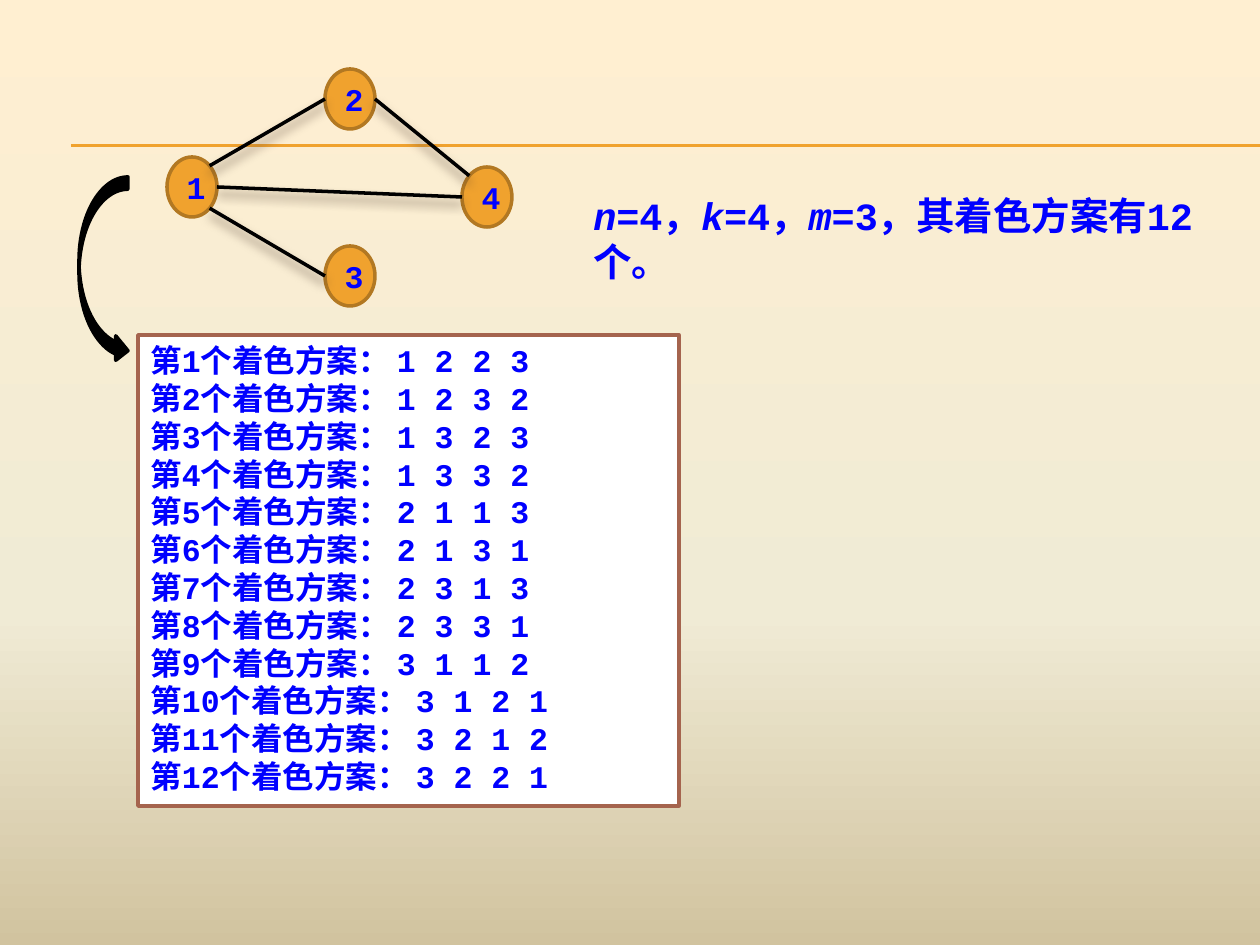
from copy import deepcopy
from math import cos, radians, sin

from lxml.etree import SubElement
from pptx import Presentation
from pptx.dml.color import RGBColor
from pptx.enum.shapes import MSO_CONNECTOR, MSO_SHAPE
from pptx.enum.text import MSO_ANCHOR, MSO_AUTO_SIZE, PP_ALIGN
from pptx.oxml.ns import qn
from pptx.util import Emu, Pt

SCALE = 914400 / 126
WIDE, HIGH = 1260, 945
AMBER, BROWN, RUST = "F0A22E", "B27822", "A5644E"
BLACK, WHITE, BLUE = "000000", "FFFFFF", "0000FF"
STOPS = [(0, "FFEFD1"), (0.65, "F0EBD5"), (1, "D1C39F")]
NODE = (50, 60)
NODES = {"1": (0, 88), "2": (158, 0), "3": (158, 177), "4": (295, 98)}
EDGES = [("1", 45, "2", 180), ("1", -45, "3", 180),
         ("1", 0, "4", 180), ("2", 0, "4", 135)]
PLANS = ["1 2 2 3", "1 2 3 2", "1 3 2 3", "1 3 3 2", "2 1 1 3", "2 1 3 1",
         "2 3 1 3", "2 3 3 1", "3 1 1 2", "3 1 2 1", "3 2 1 2", "3 2 2 1"]
NOTE = ["n", "=4，", "k", "=4，", "m", "=3，其着色方案有12个。"]


def px(*nums):
    """Turn px lengths into EMU."""
    return [Emu(round(n * SCALE)) for n in nums]


def tint(code):
    """Turn a hex string into a colour."""
    return RGBColor.from_string(code)


def style(run, size, slant=False):
    """Give a run the bold blue Courier look."""
    font = run.font
    font.name, font.size = "Courier New", Pt(size)
    font.bold, font.italic = True, slant
    font.color.rgb = tint(BLUE)


def draw(slide, kind, box, fill, edge):
    """Add a filled, outlined shape with no shadow."""
    shape = slide.shapes.add_shape(kind, *px(*box))
    shape.shadow.inherit = False
    shape.fill.solid()
    shape.fill.fore_color.rgb = tint(fill)
    shape.line.color.rgb = tint(edge)
    shape.line.width = Pt(2)
    return shape


def link(slide, start, end, color, width, shade=False):
    """Add a straight line, with a soft shadow if asked."""
    line = slide.shapes.add_connector(MSO_CONNECTOR.STRAIGHT, *px(*start, *end))
    line.line.color.rgb = tint(color)
    line.line.width = Pt(width)
    effect = SubElement(line._element.spPr, qn("a:effectLst"))
    if shade:
        cast = SubElement(effect, qn("a:outerShdw"), blurRad=str(Pt(6)),
                          dist=str(Pt(4)), dir="5400000", rotWithShape="0")
        hue = SubElement(cast, qn("a:srgbClr"), val="4E3B30")
        SubElement(hue, qn("a:alpha"), val="60000")


def back(slide):
    """Paint the gradient background and the double rule."""
    fill = slide.background.fill
    fill.gradient()
    fill.gradient_angle = 270
    stops = slide._element.find(".//" + qn("a:gsLst"))
    stops.append(deepcopy(stops[0]))
    for stop, (place, code) in zip(fill.gradient_stops, STOPS):
        stop.position = place
        stop.color.rgb = tint(code)
    for top in (145, 146):
        link(slide, (71, top), (WIDE, top), AMBER, 0.75)


def site(left, top, name, angle):
    """Find the point on a node's rim at an angle."""
    x, y = NODES[name]
    w, h = NODE
    turn = radians(angle)
    return (left + x + w / 2 * (1 + cos(turn)),
            top + y + h / 2 * (1 - sin(turn)))


def graph(slide, left, top):
    """Draw the numbered nodes and the edges between them."""
    for name, (x, y) in NODES.items():
        node = draw(slide, MSO_SHAPE.OVAL, (left + x, top + y, *NODE),
                    AMBER, BROWN)
        node.text_frame.text = name
        para = node.text_frame.paragraphs[0]
        para.alignment = PP_ALIGN.CENTER
        style(para.runs[0], 18)
    for a, turn, b, bend in EDGES:
        link(slide, site(left, top, a, turn), site(left, top, b, bend),
             BLACK, 2, True)


def note(slide, box):
    """Write the statement with its letters in italics."""
    frame = slide.shapes.add_textbox(*px(*box)).text_frame
    frame.word_wrap = True
    for i, part in enumerate(NOTE):
        run = frame.paragraphs[0].add_run()
        run.text = part
        style(run, 22, i % 2 == 0)


def plans(slide, box):
    """List the colour plans in a framed box."""
    frame = draw(slide, MSO_SHAPE.RECTANGLE, box, WHITE, RUST).text_frame
    frame.word_wrap = True
    frame.auto_size = MSO_AUTO_SIZE.SHAPE_TO_FIT_TEXT
    frame.vertical_anchor = MSO_ANCHOR.TOP
    frame.text = "\n".join(f"第{i}个着色方案： {plan}"
                           for i, plan in enumerate(PLANS, 1))
    for para in frame.paragraphs:
        para.alignment = PP_ALIGN.LEFT
        style(para.runs[0], 18)


def main():
    """Build the slide and save it."""
    deck = Presentation()
    deck.slide_width, deck.slide_height = px(WIDE, HIGH)
    slide = deck.slides.add_slide(deck.slide_layouts[6])
    back(slide)
    graph(slide, 167, 69)
    note(slide, (581, 186, 650, 59))
    plans(slide, (138, 335, 541, 471))
    draw(slide, MSO_SHAPE.CURVED_RIGHT_ARROW, (79, 177, 49, 186), BLACK, BLACK)
    deck.save("out.pptx")


if __name__ == "__main__":
    main()
